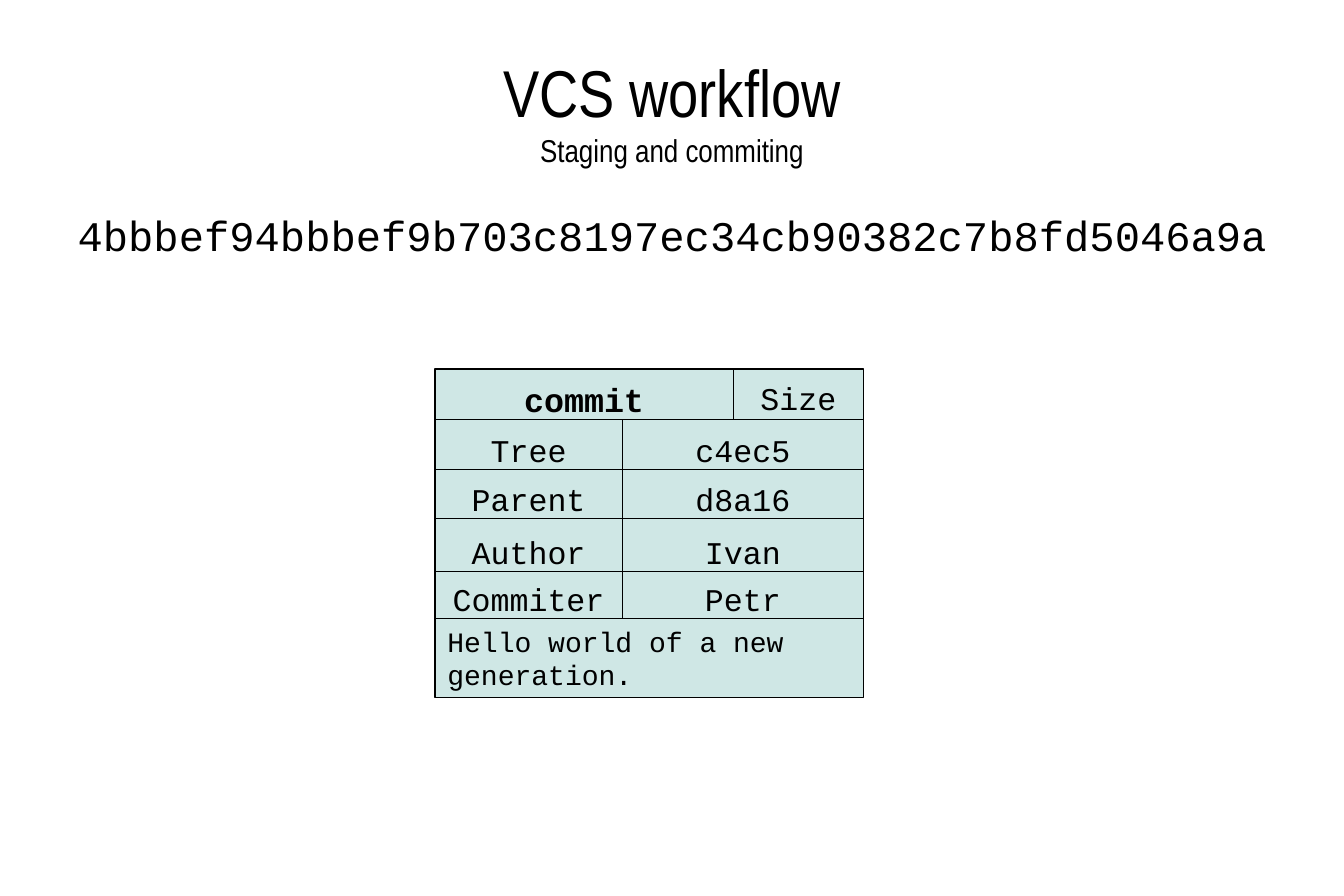
from dataclasses import dataclass

import lxml.etree
import pptx
import pptx.dml.color
import pptx.enum.shapes
import pptx.enum.text
import pptx.oxml.ns
import pptx.slide
import pptx.util

Inches = pptx.util.Inches
Pt = pptx.util.Pt
Align = pptx.enum.text.PP_ALIGN
Anchor = pptx.enum.text.MSO_ANCHOR


@dataclass(frozen=True)
class Theme:
    ink: pptx.dml.color.RGBColor = pptx.dml.color.RGBColor(0x00, 0x00, 0x00)
    card: pptx.dml.color.RGBColor = pptx.dml.color.RGBColor(0xCF, 0xE7, 0xE5)
    heading_font: str = "Arial Narrow"
    code_font: str = "Courier New"
    title_size: float = 37.7
    subtitle_size: float = 18
    hash_size: float = 24
    commit_size: float = 19
    field_size: float = 18
    message_size: float = 16
    rule_width: float = 0.28


@dataclass(frozen=True)
class Box:
    left: float
    top: float
    width: float
    height: float

    @property
    def right(self) -> float:
        return self.left + self.width

    @property
    def bottom(self) -> float:
        return self.top + self.height


@dataclass(frozen=True)
class Field:
    label: str
    value: str
    top: float
    text_offset: float


THEME = Theme()
CARD = Box(3.44, 2.92, 3.39, 2.6)
SIZE_LEFT = 5.8
VALUE_LEFT = 4.92
MESSAGE_TOP = 4.89
FIELD_HEIGHT = 0.39
FIELDS = (
    Field("Tree", "c4ec5", 3.32, 0.04),
    Field("Parent", "d8a16", 3.71, 0.04),
    Field("Author", "Ivan", 4.1, 0.07),
    Field("Commiter", "Petr", 4.52, 0.02),
)


def add_text(slide: pptx.slide.Slide, text: str, box: Box, *, size: float = THEME.field_size,
             font: str = THEME.code_font, bold: bool = False, align: Align = Align.CENTER,
             anchor: Anchor = Anchor.TOP, inset: tuple[float, float] = (0.1, 0.05),
             later_size: float | None = None) -> None:
    """Add text; lines after the first take later_size when it is given."""
    frame = slide.shapes.add_textbox(
        Inches(box.left), Inches(box.top), Inches(box.width), Inches(box.height)).text_frame
    frame.word_wrap = True
    frame.vertical_anchor = anchor
    frame.margin_left = frame.margin_right = Inches(inset[0])
    frame.margin_top = frame.margin_bottom = Inches(inset[1])
    paragraph = frame.paragraphs[0]
    paragraph.alignment = align
    for index, line in enumerate(text.split("\n")):
        if index:
            paragraph.add_line_break()
        run = paragraph.add_run()
        run.text = line
        run.font.name = font
        run.font.size = Pt(later_size if index and later_size else size)
        run.font.bold = bold
        run.font.color.rgb = THEME.ink


def add_rule(slide: pptx.slide.Slide, x1: float, y1: float, x2: float, y2: float) -> None:
    rule = slide.shapes.add_connector(
        pptx.enum.shapes.MSO_CONNECTOR.STRAIGHT, Inches(x1), Inches(y1), Inches(x2), Inches(y2))
    rule.line.color.rgb = THEME.ink
    rule.line.width = Pt(THEME.rule_width)
    lxml.etree.SubElement(rule._element.spPr, pptx.oxml.ns.qn("a:effectLst"))


def add_headings(slide: pptx.slide.Slide) -> None:
    add_text(slide, "VCS workflow\nStaging and commiting", Box(0.53, 0.28, 9.57, 1.18),
             size=THEME.title_size, later_size=THEME.subtitle_size,
             font=THEME.heading_font, anchor=Anchor.MIDDLE, inset=(0, 0))
    add_text(slide, "4bbbef94bbbef9b703c8197ec34cb90382c7b8fd5046a9a",
             Box(0.53, 1.66, 9.57, 4.68), size=THEME.hash_size, inset=(0, 0))


def add_commit_card(slide: pptx.slide.Slide) -> None:
    card = slide.shapes.add_shape(
        pptx.enum.shapes.MSO_SHAPE.RECTANGLE,
        Inches(CARD.left), Inches(CARD.top), Inches(CARD.width), Inches(CARD.height))
    card.shadow.inherit = False
    card.fill.solid()
    card.fill.fore_color.rgb = THEME.card
    card.line.color.rgb = THEME.ink
    card.line.width = Pt(0)

    fields_top = FIELDS[0].top
    for y in (*(field.top for field in FIELDS), MESSAGE_TOP):
        add_rule(slide, CARD.left, y, CARD.right, y)
    add_rule(slide, SIZE_LEFT, CARD.top, SIZE_LEFT, fields_top)
    add_rule(slide, VALUE_LEFT, fields_top, VALUE_LEFT, MESSAGE_TOP)

    header_top = CARD.top + 0.03
    add_text(slide, "commit", Box(CARD.left, header_top, SIZE_LEFT - CARD.left, 0.41),
             size=THEME.commit_size, bold=True)
    add_text(slide, "Size", Box(SIZE_LEFT, header_top, CARD.right - SIZE_LEFT, FIELD_HEIGHT))
    for field in FIELDS:
        top = field.top + field.text_offset
        add_text(slide, field.label, Box(CARD.left, top, VALUE_LEFT - CARD.left, FIELD_HEIGHT))
        add_text(slide, field.value, Box(VALUE_LEFT, top, CARD.right - VALUE_LEFT, FIELD_HEIGHT))
    add_text(slide, "Hello world of a new generation.",
             Box(CARD.left, MESSAGE_TOP, CARD.width, CARD.bottom - MESSAGE_TOP),
             size=THEME.message_size, align=Align.LEFT)


def main() -> None:
    presentation = pptx.Presentation()
    presentation.slide_width = Inches(10.63)
    presentation.slide_height = Inches(7.09)
    slide = presentation.slides.add_slide(presentation.slide_layouts[6])
    add_headings(slide)
    add_commit_card(slide)
    presentation.save("out.pptx")


if __name__ == "__main__":
    main()
